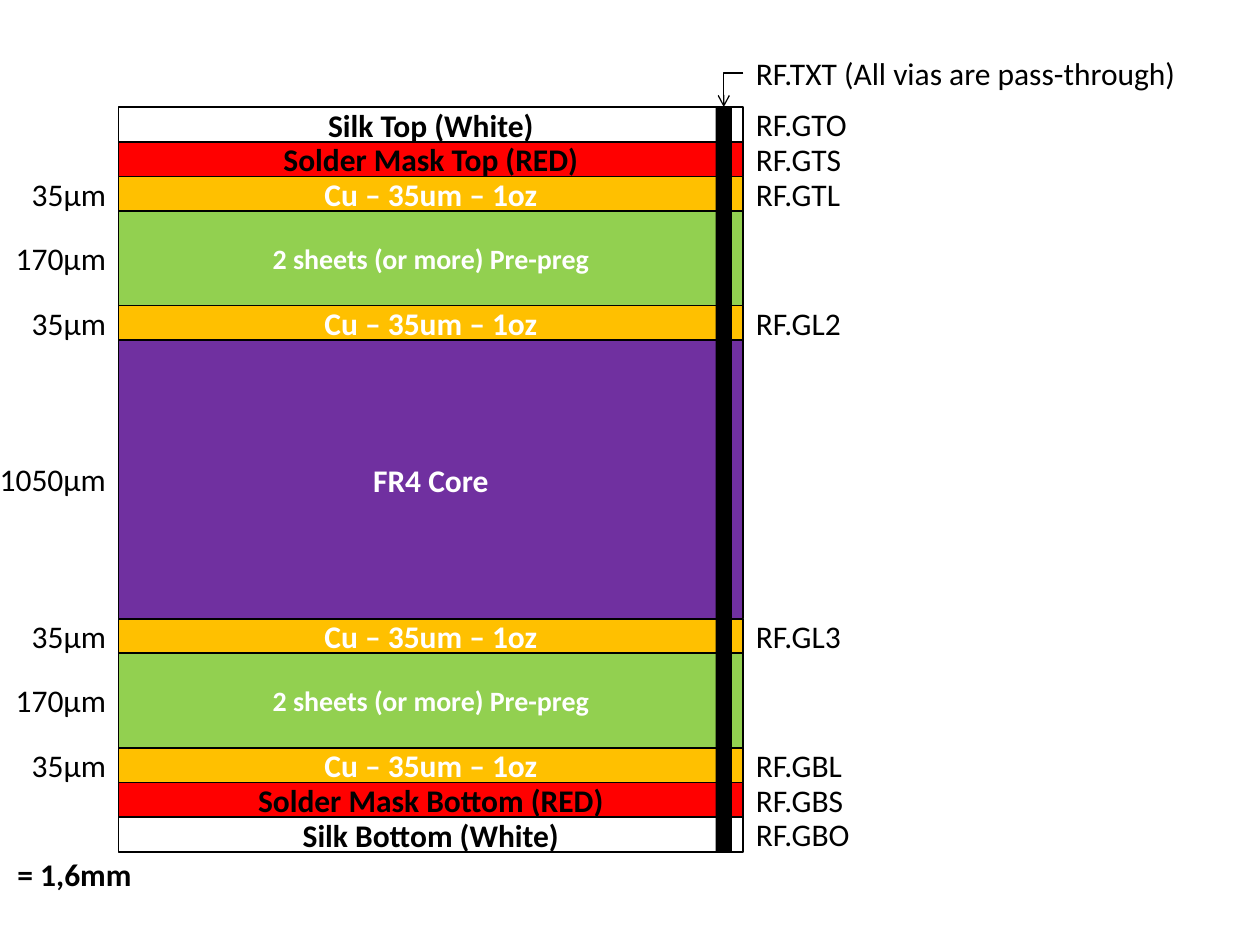
from pptx import Presentation
from pptx.dml.color import RGBColor
from pptx.enum.shapes import MSO_CONNECTOR, MSO_SHAPE
from pptx.enum.text import MSO_ANCHOR, MSO_AUTO_SIZE, PP_ALIGN
from pptx.oxml.ns import qn
from pptx.util import Inches, Pt
from lxml import etree

BLACK = RGBColor(0x00, 0x00, 0x00)
WHITE = RGBColor(0xFF, 0xFF, 0xFF)
RED = RGBColor(0xFF, 0x00, 0x00)
COPPER = RGBColor(0xFF, 0xC0, 0x00)
GREEN = RGBColor(0x92, 0xD0, 0x50)
PURPLE = RGBColor(0x70, 0x30, 0xA0)

# Board grid, in inches
LEFT, TOP, WIDTH, HEIGHT = 0.94, 0.85, 4.96, 5.91
RIGHT = LEFT + WIDTH
THIN, PREPREG = 0.55 / 2, 0.75
CORE = HEIGHT - 8 * THIN - 2 * PREPREG
LABEL_H = 0.4
VIA_X, VIA_W = 5.68, 0.13

prs = Presentation()
prs.slide_width, prs.slide_height = Inches(10), Inches(7.5)
s = prs.slides.add_slide(prs.slide_layouts[6])


def write(sp, text, align, **font):
    p = sp.text_frame.paragraphs[0]
    p.alignment = align
    r = p.add_run()
    r.text = text
    r.font.color.rgb = font.pop("color", BLACK)
    for name, value in {"name": "Calibri", "size": Pt(18), **font}.items():
        setattr(r.font, name, value)


def add_label(text, x, y, w, align=PP_ALIGN.LEFT, **font):
    sp = s.shapes.add_textbox(*map(Inches, (x, y, w, LABEL_H)))
    sp.text_frame.word_wrap = True
    sp.text_frame.auto_size = MSO_AUTO_SIZE.SHAPE_TO_FIT_TEXT
    write(sp, text, align, **font)


# Layers from top to bottom: text, height, fill, text colour, size, thickness, file
copper = ("Cu – 35um – 1oz", THIN, COPPER, WHITE, 18, "35µm")
prepreg = ("2 sheets (or more) Pre-preg", PREPREG, GREEN, WHITE, 16, "170µm", "")
layers = [
    ("Silk Top (White)", THIN, None, BLACK, 18, "", "RF.GTO"),
    ("Solder Mask Top (RED)", THIN, RED, BLACK, 18, "", "RF.GTS"),
    (*copper, "RF.GTL"),
    prepreg,
    (*copper, "RF.GL2"),
    ("FR4 Core", CORE, PURPLE, WHITE, 18, "1050µm", ""),
    (*copper, "RF.GL3"),
    prepreg,
    (*copper, "RF.GBL"),
    ("Solder Mask Bottom (RED)", THIN, RED, BLACK, 18, "", "RF.GBS"),
    ("Silk Bottom (White)", THIN, None, BLACK, 18, "", "RF.GBO"),
]

y = TOP
for text, h, fill, color, size, thickness, file_name in layers:
    sp = s.shapes.add_shape(MSO_SHAPE.RECTANGLE, *map(Inches, (LEFT, y, WIDTH, h)))
    sp.shadow.inherit = False
    if fill is None:
        sp.fill.background()
    else:
        sp.fill.solid()
        sp.fill.fore_color.rgb = fill
    sp.line.color.rgb = BLACK
    sp.line.width = Pt(1)
    sp.text_frame.vertical_anchor = MSO_ANCHOR.MIDDLE
    write(sp, text, PP_ALIGN.CENTER, color=color, size=Pt(size), bold=True)

    label_y = y + (h - LABEL_H) / 2
    if thickness:
        x = -0.12 if h == CORE else 0
        add_label(thickness, x, label_y, LEFT - x, PP_ALIGN.RIGHT)
    if file_name:
        add_label(file_name, RIGHT, label_y, 1.26)
    y += h

# Pass-through via
via = s.shapes.add_shape(MSO_SHAPE.RECTANGLE, *map(Inches, (VIA_X, TOP, VIA_W, HEIGHT)))
via.shadow.inherit = False
via.fill.solid()
via.fill.fore_color.rgb = BLACK
via.line.fill.background()

# Via label with its one-bend arrow
via_label_y = 0.38
add_label("RF.TXT (All vias are pass-through)", RIGHT, via_label_y, 3.9)
arrow = s.shapes.add_connector(
    MSO_CONNECTOR.ELBOW,
    *map(Inches, (RIGHT, via_label_y + LABEL_H / 2, VIA_X + VIA_W / 2, TOP)))
arrow.line.color.rgb = BLACK
arrow.line.width = Pt(0.75)
spPr = arrow._element.spPr
spPr.find(qn("a:prstGeom")).set("prst", "bentConnector2")
etree.SubElement(spPr.find(qn("a:ln")), qn("a:tailEnd"), type="arrow")
etree.SubElement(spPr, qn("a:effectLst"))

# Total thickness
add_label("= 1,6mm", 0.04, 6.74, 2.28, bold=True)

prs.save("out.pptx")
